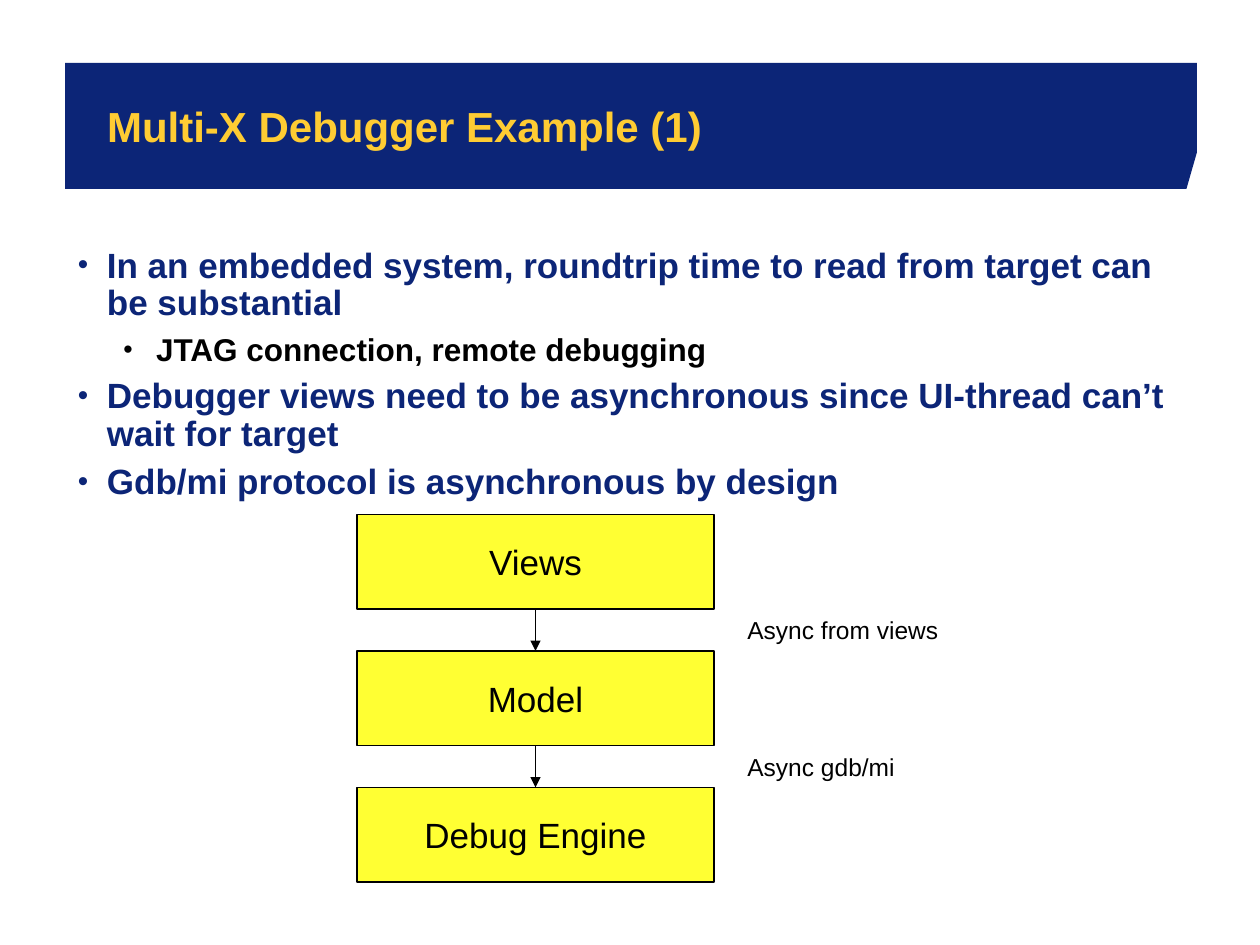
from lxml.etree import SubElement
from pptx import Presentation
from pptx.dml.color import RGBColor
from pptx.enum.shapes import MSO_CONNECTOR, MSO_SHAPE
from pptx.enum.text import MSO_ANCHOR, MSO_AUTO_SIZE, PP_ALIGN
from pptx.oxml.ns import qn
from pptx.util import Inches, Pt

THEME = dict(
    font="Arial", navy="0C2577", gold="FFCC33", yellow="FFFF33", black="000000",
    title=24, bullet=20, sub=18, box=20, label=14,
)

prs = Presentation()
prs.slide_width, prs.slide_height = Inches(10), Inches(7.5)
COL, ROW = prs.slide_width // 120, prs.slide_height // 90  # 120 x 90 grid
s = prs.slides.add_slide(prs.slide_layouts[1])


def rgb(name):
    return RGBColor.from_string(THEME[name])


def write(p, text, size="box", color="black", bold=False, align=PP_ALIGN.LEFT):
    p.alignment = align
    r = p.add_run()
    r.text = text
    r.font.name, r.font.size, r.font.bold = THEME["font"], Pt(THEME[size]), bold
    r.font.color.rgb = rgb(color)


# Banner with a clipped corner, behind the title
left, top, right, bottom = 6.2 * COL, 6 * ROW, 114 * COL, 18 * ROW
fb = s.shapes.build_freeform(round(left), top)
fb.add_line_segments([(left, bottom), (113 * COL, bottom),
                      (right, 14.5 * ROW), (right, top)], close=True)
banner = fb.convert_to_shape()
banner.shadow.inherit = False
banner.fill.solid()
banner.fill.fore_color.rgb = rgb("navy")
banner.line.fill.background()
banner.element.getparent().insert(2, banner.element)

# Title
title = s.shapes.title
title.left, title.top, title.width, title.height = round(10.2 * COL), top, 69 * COL, 12 * ROW
tf = title.text_frame
tf.auto_size, tf.vertical_anchor, tf.margin_left = MSO_AUTO_SIZE.NONE, MSO_ANCHOR.MIDDLE, 0
write(tf.paragraphs[0], "Multi-X Debugger Example (1)", "title", "gold", bold=True)

# Bullet list
body = s.placeholders[1]
body.left, body.top, body.width, body.height = round(6.1 * COL), 23 * ROW, 108 * COL, 26 * ROW
tf = body.text_frame
tf.auto_size, tf.vertical_anchor = MSO_AUTO_SIZE.NONE, MSO_ANCHOR.TOP
# Per level: margin, indent, space after, size, colour
levels = [(0.24, -0.23, 6.2, "bullet", "navy"), (0.63, -0.26, 5.6, "sub", "black")]
bullets = [
    (0, "In an embedded system, roundtrip time to read from target can be substantial"),
    (1, "JTAG connection, remote debugging"),
    (0, "Debugger views need to be asynchronous since UI-thread can’t wait for target"),
    (0, "Gdb/mi protocol is asynchronous by design"),
]
for i, (level, text) in enumerate(bullets):
    margin, indent, after, size, color = levels[level]
    p = tf.add_paragraph() if i else tf.paragraphs[0]
    p.level = level
    pPr = p._p.get_or_add_pPr()
    pPr.set("marL", str(Inches(margin)))
    pPr.set("indent", str(Inches(indent)))
    SubElement(SubElement(pPr, qn("a:buClr")), qn("a:srgbClr"), val=THEME[color])
    SubElement(pPr, qn("a:buSzPct"), val="85000")
    SubElement(pPr, qn("a:buFont"), typeface=THEME["font"])
    SubElement(pPr, qn("a:buChar"), char="•")
    p.line_spacing, p.space_before, p.space_after = 0.9, Pt(0), Pt(after)
    write(p, text, size, color, bold=True)

# Stack of layers
boxes = []
for i, name in enumerate(["Views", "Model", "Debug Engine"]):
    box = s.shapes.add_shape(MSO_SHAPE.RECTANGLE, 34 * COL, (49 + 13 * i) * ROW, 34 * COL, 9 * ROW)
    box.shadow.inherit = False
    box.fill.solid()
    box.fill.fore_color.rgb = rgb("yellow")
    box.line.color.rgb, box.line.width = rgb("black"), Pt(1)
    tf = box.text_frame
    tf.word_wrap, tf.vertical_anchor = False, MSO_ANCHOR.MIDDLE
    write(tf.paragraphs[0], name, align=PP_ALIGN.CENTER)
    boxes.append(box)

# Arrows between layers, each with its label
for upper, lower, text in zip(boxes, boxes[1:], ["Async from views", "Async gdb/mi"]):
    arrow = s.shapes.add_connector(MSO_CONNECTOR.STRAIGHT, 0, 0, 0, 0)
    arrow.begin_connect(upper, 2)
    arrow.end_connect(lower, 0)
    arrow.line.color.rgb, arrow.line.width = rgb("black"), Pt(1)
    SubElement(arrow.line._get_or_add_ln(), qn("a:tailEnd"), type="triangle")
    SubElement(arrow._element.spPr, qn("a:effectLst"))

    label = s.shapes.add_textbox(70 * COL, upper.top + upper.height, 23 * COL, 4 * ROW)
    label.text_frame.word_wrap = True
    write(label.text_frame.paragraphs[0], text, "label")

prs.save("out.pptx")
